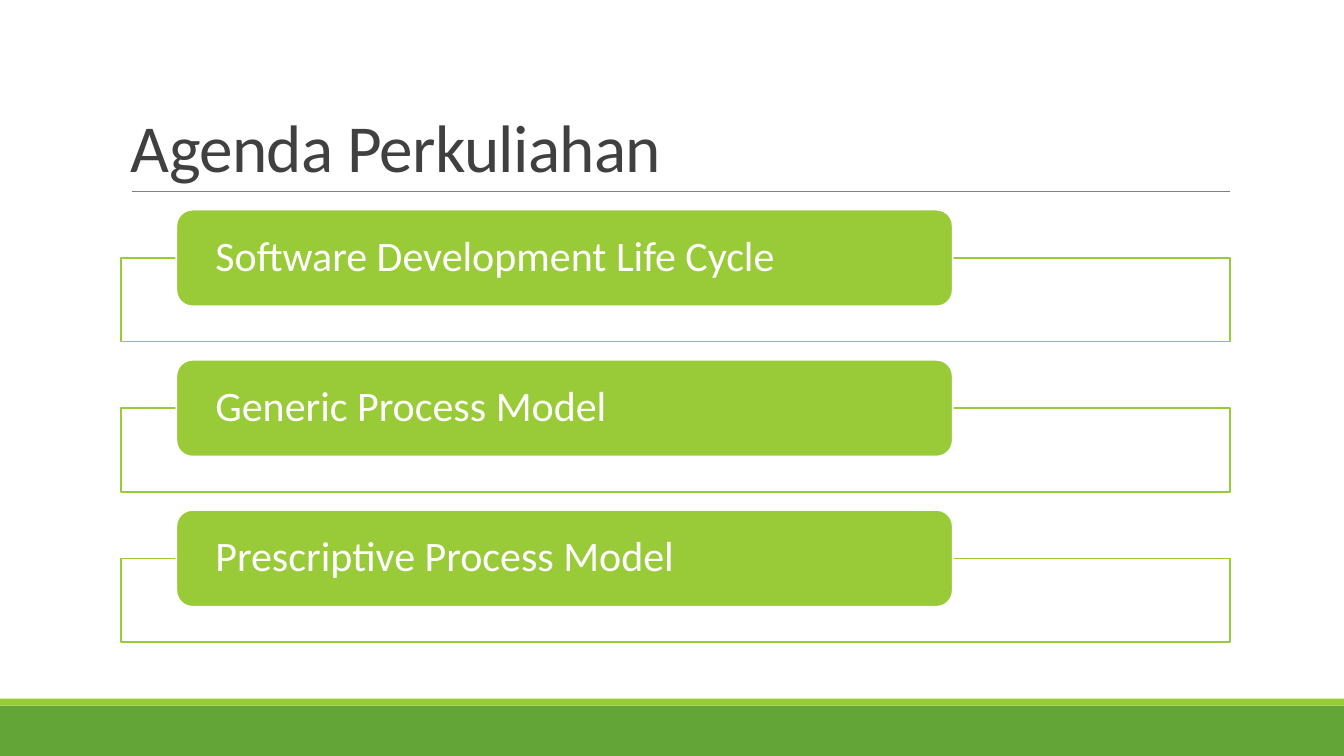
from lxml.etree import SubElement
from pptx import Presentation
from pptx.dml.color import RGBColor
from pptx.enum.shapes import MSO_CONNECTOR, MSO_SHAPE
from pptx.enum.text import MSO_ANCHOR, PP_ALIGN
from pptx.oxml.ns import qn
from pptx.util import Inches, Pt

WIDTH, HEIGHT = 13.33, 7.5
WHITE = RGBColor(0xFF, 0xFF, 0xFF)
LIME = RGBColor(0x99, 0xCB, 0x38)
GREEN = RGBColor(0x63, 0xA5, 0x37)
GRAY = RGBColor(0x80, 0x80, 0x80)
DARK = RGBColor(0x40, 0x40, 0x40)

TITLE = "Agenda Perkuliahan"
TOPICS = [
    "Software Development Life Cycle",
    "Generic Process Model",
    "Prescriptive Process Model",
]


def add_box(slide, kind, box, fill, line=None, opacity=None):
    """Add a preset shape; opacity is a percentage."""
    shape = slide.shapes.add_shape(kind, *map(Inches, box))
    shape.shadow.inherit = False
    shape.fill.solid()
    shape.fill.fore_color.rgb = fill
    if opacity is not None:
        color = shape.fill._xPr.find(qn("a:solidFill"))[0]
        SubElement(color, qn("a:alpha"), val=str(opacity * 1000))
    if line is None:
        shape.line.fill.background()
    else:
        shape.line.color.rgb = line
        shape.line.width = Pt(1.25)
    return shape


def write_text(shape, text, *, size, color, anchor, line_spacing,
               side_inset=0.1, end_inset=0.05, tracking=None):
    """Fill a shape with one line of text; tracking is in points."""
    frame = shape.text_frame
    frame.word_wrap = True
    frame.vertical_anchor = anchor
    frame.margin_left = frame.margin_right = Inches(side_inset)
    frame.margin_top = frame.margin_bottom = Inches(end_inset)
    paragraph = frame.paragraphs[0]
    paragraph.alignment = PP_ALIGN.LEFT
    paragraph.line_spacing = line_spacing
    run = paragraph.add_run()
    run.text = text
    run.font.name = "Calibri"
    run.font.size = Pt(size)
    run.font.color.rgb = color
    if tracking is not None:
        run._r.get_or_add_rPr().set("spc", str(round(tracking * 100)))


def add_footer(slide, left, top, width, height):
    stripe = height / 8
    add_box(slide, MSO_SHAPE.RECTANGLE,
            (left, top + stripe, width, height - stripe), GREEN)
    add_box(slide, MSO_SHAPE.RECTANGLE, (left, top, width, stripe), LIME)


def add_title(slide, left, top, width, height):
    """Add the title with a rule along the bottom of its box."""
    bottom = top + height
    rule = slide.shapes.add_connector(
        MSO_CONNECTOR.STRAIGHT, Inches(left + 0.11), Inches(bottom),
        Inches(left + width), Inches(bottom))
    rule.line.color.rgb = GRAY
    rule.line.width = Pt(0.5)
    SubElement(rule._element.spPr, qn("a:effectLst"))
    title = slide.shapes.add_textbox(*map(Inches, (left, top, width, height)))
    write_text(title, TITLE, size=48, color=DARK, anchor=MSO_ANCHOR.BOTTOM,
               line_spacing=0.85, tracking=-0.5)


def add_topic(slide, text, left, top, width, height):
    """Add an outlined frame with a label across its top edge."""
    label_height = 0.96
    frame_top = top + label_height / 2
    add_box(slide, MSO_SHAPE.RECTANGLE,
            (left, frame_top, width, top + height - frame_top),
            WHITE, line=LIME, opacity=90)
    label = add_box(slide, MSO_SHAPE.ROUNDED_RECTANGLE,
                    (left + 0.05 * width, top, 0.7 * width, label_height),
                    LIME, line=WHITE)
    write_text(label, text, size=30, color=WHITE, anchor=MSO_ANCHOR.MIDDLE,
               line_spacing=0.9, side_inset=0.34, end_inset=0)


def add_agenda(slide, left, top, width, height):
    gap = 0.18
    topic_height = (height - gap * (len(TOPICS) - 1)) / len(TOPICS)
    for index, text in enumerate(TOPICS):
        add_topic(slide, text, left, top + index * (topic_height + gap),
                  width, topic_height)


def main():
    presentation = Presentation()
    presentation.slide_width = Inches(WIDTH)
    presentation.slide_height = Inches(HEIGHT)
    slide = presentation.slides.add_slide(presentation.slide_layouts[6])
    margin, content_width = 0.09 * WIDTH, 11
    add_footer(slide, 0, 6.93, WIDTH, HEIGHT - 6.93)
    add_title(slide, margin, 0.31, content_width, 1.59)
    add_agenda(slide, margin, 2.08, content_width, 4.29)
    presentation.save("out.pptx")


if __name__ == "__main__":
    main()
